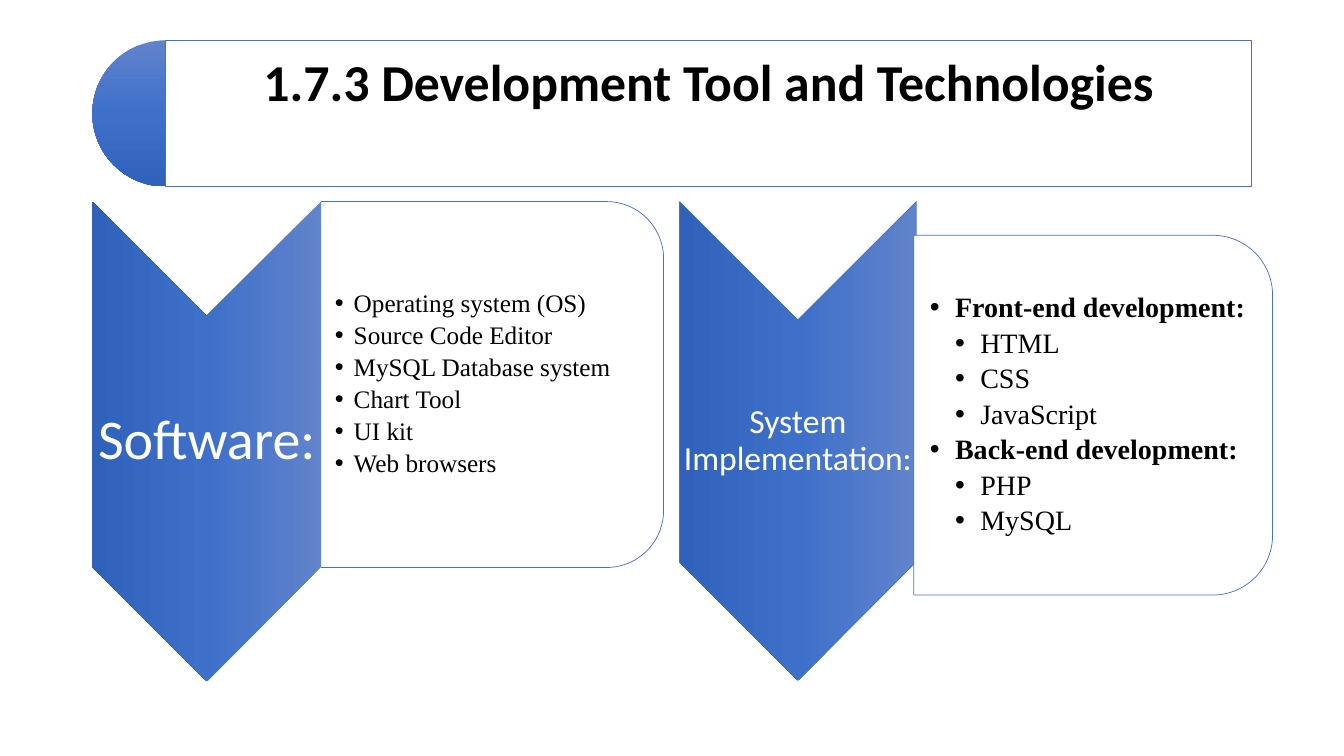
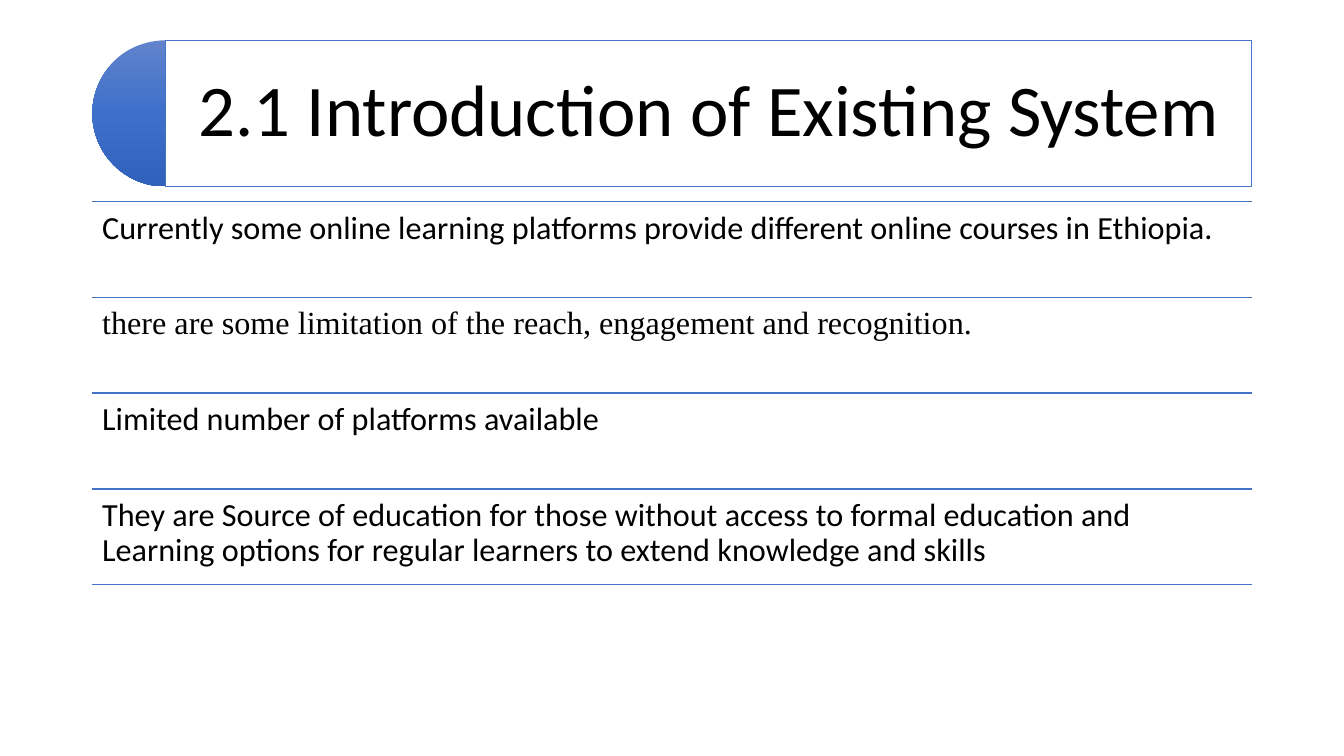
from copy import deepcopy
from lxml.etree import SubElement
from pptx import Presentation
from pptx.dml.color import RGBColor
from pptx.enum.shapes import MSO_CONNECTOR as CONN, MSO_SHAPE as SHAPE
from pptx.enum.text import MSO_ANCHOR as ANCHOR, PP_ALIGN as ALIGN
from pptx.oxml.ns import qn
from pptx.util import Pt

BLUE, WHITE, BLACK = "4472C4", "FFFFFF", "000000"
GRADIENT = ((0, "6183CB"), (0.5, "3E70CA"), (1, "3062BB"))
SANS, SERIF = "Calibri", "Times New Roman"
LEFT, WIDTH = 66, 828
TOP, BAR_H = 28.8, 104.4
BODY_TOP, ROW_H = 144, 68.4


def rgb(color):
    return RGBColor.from_string(color)


class Deck:
    def __init__(self):
        self.prs = Presentation()
        self.prs.slide_width, self.prs.slide_height = Pt(960), Pt(540)
        self.s = None

    def slide(self):
        self.s = self.prs.slides.add_slide(self.prs.slide_layouts[6])

    def shape(self, kind, x, y, w, h, line=None, turned=False):
        if turned:
            x, y, w, h = x + (w - h) / 2, y + (h - w) / 2, h, w
        sp = self.s.shapes.add_shape(kind, Pt(x), Pt(y), Pt(w), Pt(h))
        sp.rotation = 90 if turned else 0
        sp.shadow.inherit = False
        sp.fill.solid()
        sp.fill.fore_color.rgb = rgb(WHITE)
        if line:
            sp.line.color.rgb = rgb(line)
            sp.line.width = Pt(0.5)
        else:
            sp.line.fill.background()
        return sp

    def shade(self, sp):
        sp.fill.gradient()
        sp.fill.gradient_angle = 270
        stops = sp._element.spPr.find(".//" + qn("a:gsLst"))
        stops.insert(1, deepcopy(stops[0]))
        for stop, (position, color) in zip(sp.fill.gradient_stops, GRADIENT):
            stop.position = position
            stop.color.rgb = rgb(color)

    def frame(self, sp, margins, anchor):
        tf = sp.text_frame
        tf.word_wrap = True
        tf.vertical_anchor = anchor
        (tf.margin_left, tf.margin_top,
         tf.margin_right, tf.margin_bottom) = map(Pt, margins)
        return tf

    def box(self, x, y, w, h, margins, anchor=ANCHOR.MIDDLE):
        sp = self.s.shapes.add_textbox(Pt(x), Pt(y), Pt(w), Pt(h))
        return self.frame(sp, margins, anchor)

    def run(self, p, text, size, font=SANS, color=BLACK, bold=False):
        p.line_spacing = 0.9
        r = p.add_run()
        r.text = text
        r.font.size, r.font.name, r.font.bold = Pt(size), font, bold
        r.font.color.rgb = rgb(color)

    def title(self, text, size, bold=False, margin=16, bottom=16):
        half = self.shape(SHAPE.PIE, LEFT, TOP, BAR_H, BAR_H)
        half.adjustments[0], half.adjustments[1] = 54, 162
        self.shade(half)
        inset = BAR_H / 2
        bar = self.shape(SHAPE.RECTANGLE, LEFT + inset, TOP,
                         WIDTH - inset, BAR_H, BLUE)
        tf = self.frame(bar, (margin, margin, margin, bottom), ANCHOR.MIDDLE)
        p = tf.paragraphs[0]
        p.alignment = ALIGN.CENTER
        self.run(p, text, size, bold=bold)

    def chevron(self, text, size, x, w, h, line=None):
        bounds = x, BODY_TOP, w, h
        self.shade(self.shape(SHAPE.CHEVRON, *bounds, line, turned=True))
        p = self.box(*bounds, (1.5,) * 4).paragraphs[0]
        p.alignment = ALIGN.CENTER
        self.run(p, text, size, color=WHITE)

    def panel(self, items, size, indent, margin, x, y, w, h):
        self.shape(SHAPE.ROUND_2_SAME_RECTANGLE, x, y, w, h, BLUE, turned=True)
        tf = self.box(x, y, w, h, (margin, 1, 12, 1))
        for i, (text, level, bold) in enumerate(items):
            p = tf.add_paragraph() if i else tf.paragraphs[0]
            pPr = p._p.get_or_add_pPr()
            pPr.set("marL", str(Pt(indent * level)))
            pPr.set("indent", str(-Pt(indent)))
            SubElement(pPr, qn("a:buFont")).set("typeface", "Arial")
            SubElement(pPr, qn("a:buChar")).set("char", "•")
            p.space_after = Pt(round(size * 0.19, 1))
            self.run(p, text, size, SERIF, bold=bold)

    def rule(self, y):
        line = self.s.shapes.add_connector(
            CONN.STRAIGHT, Pt(LEFT), Pt(y), Pt(LEFT + WIDTH), Pt(y))
        line.line.color.rgb = rgb(BLUE)
        line.line.width = Pt(1)
        SubElement(line._element.spPr, qn("a:effectLst"))

    def row(self, y, text, font):
        self.rule(y)
        tf = self.box(LEFT, y, WIDTH, ROW_H, (7,) * 4, ANCHOR.TOP)
        self.run(tf.paragraphs[0], text, 23, font)


def tools_slide(deck):
    deck.slide()
    deck.title("1.7.3 Development Tool and Technologies", 37, True, 11, 52)
    software = ("Operating system (OS)", "Source Code Editor",
                "MySQL Database system", "Chart Tool", "UI kit", "Web browsers")
    deck.chevron("Software:", 40, LEFT, 163.4, 342.7)
    deck.panel([(name, 1, False) for name in software], 18, 13.5, 10,
               229.2, BODY_TOP, 244.8, 261.4)
    stacks = {"Front-end development:": ("HTML", "CSS", "JavaScript"),
              "Back-end development:": ("PHP", "MySQL")}
    items = []
    for heading, names in stacks.items():
        items.append((heading, 1, True))
        items += [(name, 2, False) for name in names]
    deck.chevron("System Implementation:", 24, 485.3, 169.2, 342, BLUE)
    deck.panel(items, 20, 18, 11.5, 652.7, 168.1, 256.3, 257)


def existing_system_slide(deck):
    deck.slide()
    deck.title("2.1 Introduction of Existing System", 52)
    rows = (
        ("Currently some online learning platforms provide different online "
         "courses in Ethiopia.", SANS),
        ("there are some limitation of the reach, engagement and recognition.",
         SERIF),
        ("Limited number of platforms available", SANS),
        ("They are Source of education for those without access to formal "
         "education and Learning options for regular learners to extend "
         "knowledge and skills", SANS),
    )
    for i, (text, font) in enumerate(rows):
        deck.row(BODY_TOP + i * ROW_H, text, font)
    deck.rule(BODY_TOP + len(rows) * ROW_H)


def main():
    deck = Deck()
    tools_slide(deck)
    existing_system_slide(deck)
    deck.prs.save("out.pptx")


if __name__ == "__main__":
    main()
